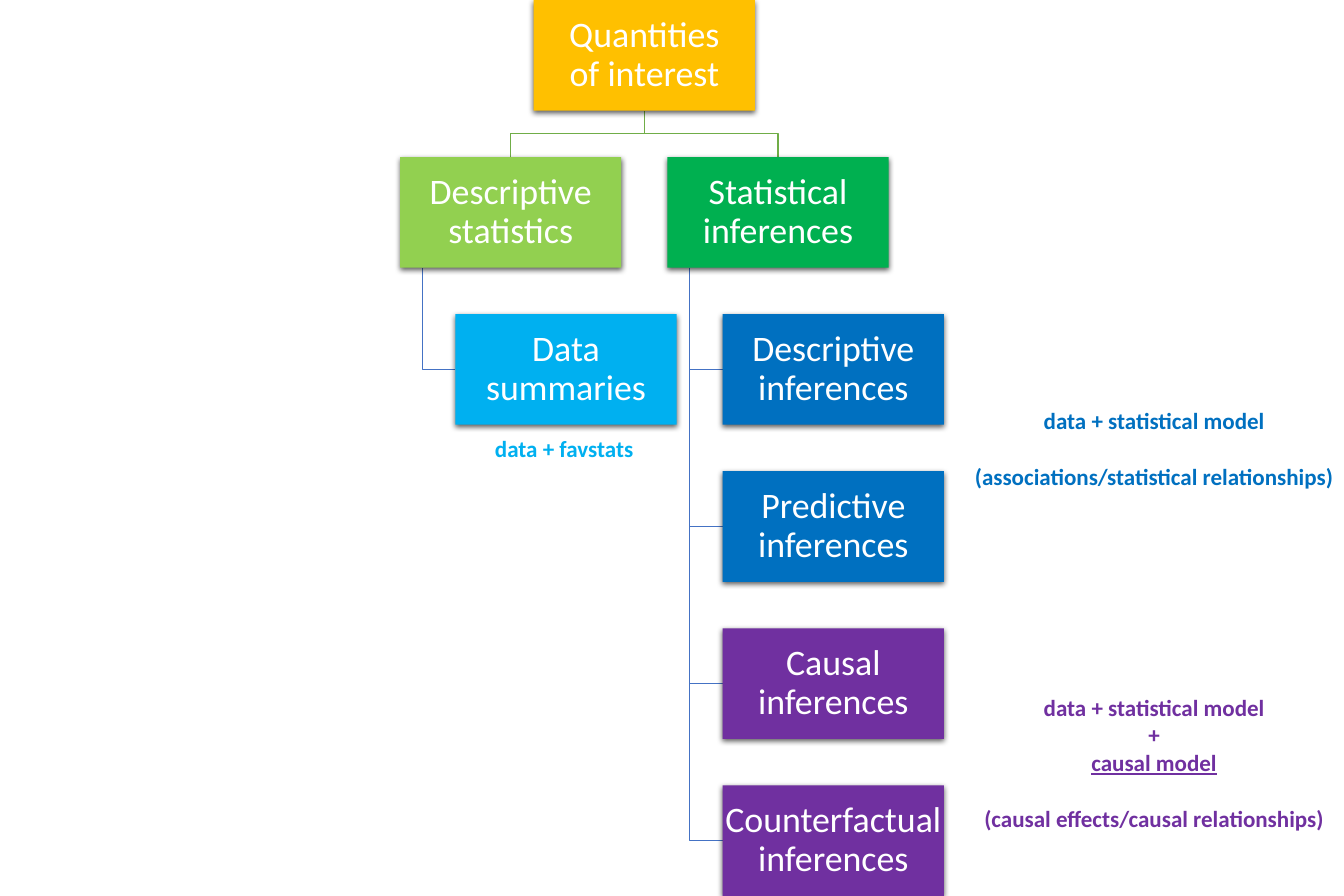
from lxml import etree
from pptx import Presentation, oxml, util as u
from pptx.dml.color import RGBColor
from pptx.enum import shapes, text

WIDE, HIGH = 2.4, 1.2
STEP = 1.704  # from one row of boxes to the next
STEM = 0.24  # from a box's left edge to the line that drops from it
SHADOW = (
    '<a:effectLst xmlns:a="http://schemas.openxmlformats.org/drawingml/2006/main">'
    '<a:outerShdw blurRad="57150" dist="19050" dir="5400000" algn="ctr" rotWithShape="0">'
    '<a:srgbClr val="000000"><a:alpha val="63000"/></a:srgbClr>'
    '</a:outerShdw></a:effectLst>'
)


def color(code):
    return RGBColor.from_string(code)


class Chart:
    font = "Calibri"

    def __init__(self, slide):
        self.shapes = slide.shapes

    def run(self, para, words, size, code, bold=False, under=False):
        run = para.add_run()
        run.text = words
        font = run.font
        font.name, font.size = self.font, u.Pt(size)
        font.bold, font.underline = bold, under
        font.color.rgb = color(code)

    def box(self, left, row, lines, code):
        box = self.shapes.add_shape(
            shapes.MSO_SHAPE.RECTANGLE, u.Inches(left), u.Inches(row * STEP),
            u.Inches(WIDE), u.Inches(HIGH))
        box.fill.solid()
        box.fill.fore_color.rgb = color(code)
        box.line.fill.background()
        box.shadow.inherit = False
        props = box.fill._xPr
        props.remove(props.find(oxml.ns.qn("a:effectLst")))
        props.append(etree.fromstring(SHADOW))
        frame = box.text_frame
        frame.word_wrap = True
        frame.vertical_anchor = text.MSO_ANCHOR.MIDDLE
        frame.margin_left = frame.margin_right = u.Inches(0.02)
        frame.margin_top = frame.margin_bottom = u.Inches(0.02)
        para = frame.paragraphs[0]
        para.alignment = text.PP_ALIGN.CENTER
        para.line_spacing = 0.9
        for i, words in enumerate(lines):
            if i:
                para.add_line_break()
            self.run(para, words, 28, "FFFFFF")

    def line(self, points, code):
        """Draw an open line through points given in inches."""
        first, *rest = [(u.Inches(x), u.Inches(y)) for x, y in points]
        path = self.shapes.build_freeform(*first)
        path.add_line_segments(rest, close=False)
        line = path.convert_to_shape()
        line.fill.background()
        line.line.color.rgb = color(code)
        line.line.width = u.Pt(1)
        line.shadow.inherit = False

    def fork(self, left, row, child):
        """Join a box's foot to the top of a box one row below."""
        foot, top = row * STEP + HIGH, (row + 1) * STEP
        mid = (foot + top) / 2
        start, end = left + WIDE / 2, child + WIDE / 2
        self.line([(start, foot), (start, mid), (end, mid), (end, top)], "70AD47")

    def branch(self, left, row, child, below):
        """Join a box's foot to the left side of a box further down."""
        stem, mid = left + STEM, below * STEP + HIGH / 2
        self.line([(stem, row * STEP + HIGH), (stem, mid), (child, mid)], "4472C4")

    def note(self, left, top, wide, high, lines, code, gap=None, under=None):
        """Write centred lines, with a space above line gap and line under underlined."""
        box = self.shapes.add_textbox(*map(u.Inches, (left, top, wide, high)))
        frame = box.text_frame
        frame.word_wrap = False
        frame.auto_size = text.MSO_AUTO_SIZE.SHAPE_TO_FIT_TEXT
        for i, words in enumerate(lines):
            para = frame.add_paragraph() if i else frame.paragraphs[0]
            para.alignment = text.PP_ALIGN.CENTER
            if i == gap:
                para.space_before = u.Pt(22)
            self.run(para, words, 18, code, True, i == under)


def main():
    deck = Presentation()
    deck.slide_width, deck.slide_height = u.Inches(14.58), u.Inches(9.72)
    chart = Chart(deck.slides.add_slide(deck.slide_layouts[6]))

    root, data, infer = 5.79, 4.34, 7.24
    inset = 0.6
    sky, blue, purple = "00B0F0", "0070C0", "7030A0"
    kinds = [("Descriptive", blue), ("Predictive", blue),
             ("Causal", purple), ("Counterfactual", purple)]

    for row in range(len(kinds) + 1, 1, -1):
        chart.branch(infer, 1, infer + inset, row)
    chart.branch(data, 1, data + inset, 2)
    for child in (infer, data):
        chart.fork(root, 0, child)

    chart.box(root, 0, ["Quantities", "of interest"], "FFC000")
    chart.box(data, 1, ["Descriptive statistics"], "92D050")
    chart.box(data + inset, 2, ["Data summaries"], sky)
    chart.box(infer, 1, ["Statistical inferences"], "00B050")
    for row, (kind, code) in enumerate(kinds, 2):
        chart.box(infer + inset, row, [f"{kind} inferences"], code)

    chart.note(10.46, 4.36, 4.12, 1.01,
               ["data + statistical model", "(associations/statistical relationships)"],
               blue, gap=1)
    chart.note(10.56, 7.47, 3.92, 1.62,
               ["data + statistical model", "+", "causal model",
                "(causal effects/causal relationships)"],
               purple, gap=3, under=2)
    chart.note(5.26, 4.66, 1.72, 0.4, ["data + favstats"], sky)

    deck.save("out.pptx")


if __name__ == "__main__":
    main()
